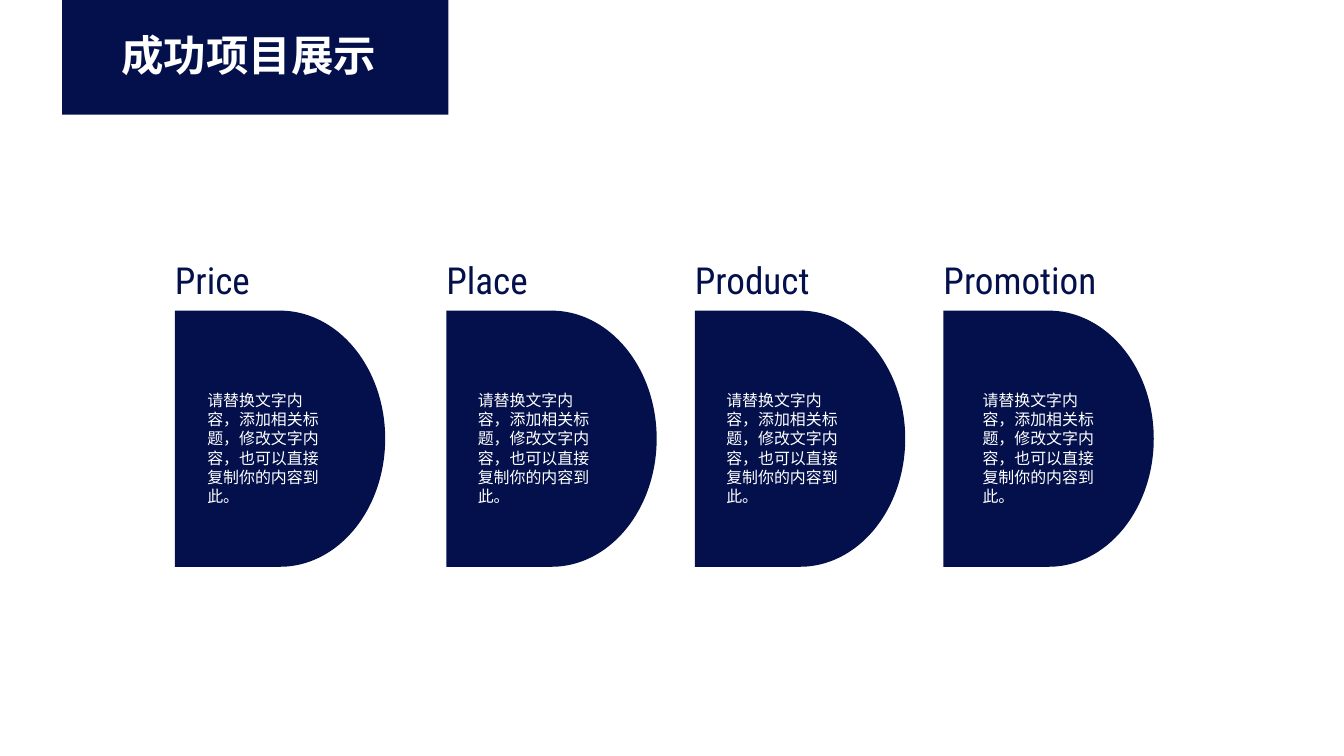
"""Build the project showcase slide: a title banner and four marketing columns."""
from dataclasses import dataclass

from lxml.etree import SubElement
from pptx import Presentation
from pptx.dml.color import RGBColor
from pptx.enum.shapes import MSO_SHAPE as Shape
from pptx.enum.text import MSO_AUTO_SIZE as AutoSize
from pptx.oxml.ns import qn
from pptx.util import Inches, Pt


@dataclass(frozen=True)
class Theme:
    navy: RGBColor = RGBColor(0x03, 0x10, 0x4B)
    white: RGBColor = RGBColor(0xFF, 0xFF, 0xFF)
    chinese: str = "Noto Sans CJK SC"
    english: str = "Roboto Condensed"
    title: int = 32
    heading: int = 28
    body: int = 12


theme = Theme()

deck = Presentation()
deck.slide_width, deck.slide_height = Inches(14.06), Inches(7.91)
slide = deck.slides.add_slide(deck.slide_layouts[6])


def add_panel(kind, left, top, width, height):
    panel = slide.shapes.add_shape(kind, *map(Inches, (left, top, width, height)))
    panel.shadow.inherit = False
    panel.fill.solid()
    panel.fill.fore_color.rgb = theme.navy
    panel.line.fill.background()


def add_label(words, left, top, width, height, size, face, color, bold=False, wrap=True):
    label = slide.shapes.add_textbox(*map(Inches, (left, top, width, height)))
    frame = label.text_frame
    frame.text = words
    frame.word_wrap = wrap
    frame.auto_size = AutoSize.SHAPE_TO_FIT_TEXT
    paragraph = frame.paragraphs[0]
    paragraph._p.get_or_add_pPr().set("hangingPunct", "0")
    run = paragraph.runs[0]
    run.font.size, run.font.bold, run.font.name = Pt(size), bold, face
    run.font.color.rgb = color
    SubElement(run.font._element, qn("a:ea"), typeface=face)
    return frame


add_panel(Shape.RECTANGLE, 0.65, 0, 4.04, 1.2)
add_label("成功项目展示", 1.17, 0.25, 2.87, 0.63,
          theme.title, theme.chinese, theme.white, bold=True, wrap=False)

description = "请替换文字内容，添加相关标题，修改文字内容，也可以直接复制你的内容到此。"
second_left, pitch = 4.67, 2.6
columns = [
    ("Price", 1.83, 0.24),
    ("Place", second_left, 0.23),
    ("Product", second_left + pitch, 0.23),
    ("Promotion", second_left + 2 * pitch, 0.31),
]

for topic, left, indent in columns:
    heading = add_label(topic, left, 2.69, 2.44, 0.47,
                        theme.heading, theme.english, theme.navy)
    heading.margin_left = heading.margin_right = 0
    heading.margin_top = heading.margin_bottom = 0
    add_panel(Shape.FLOWCHART_DELAY, left, 3.25, 2.2, 2.68)
    add_label(description, left + indent, 4.04, 1.42, 1.11,
              theme.body, theme.chinese, theme.white)

deck.save("out.pptx")
